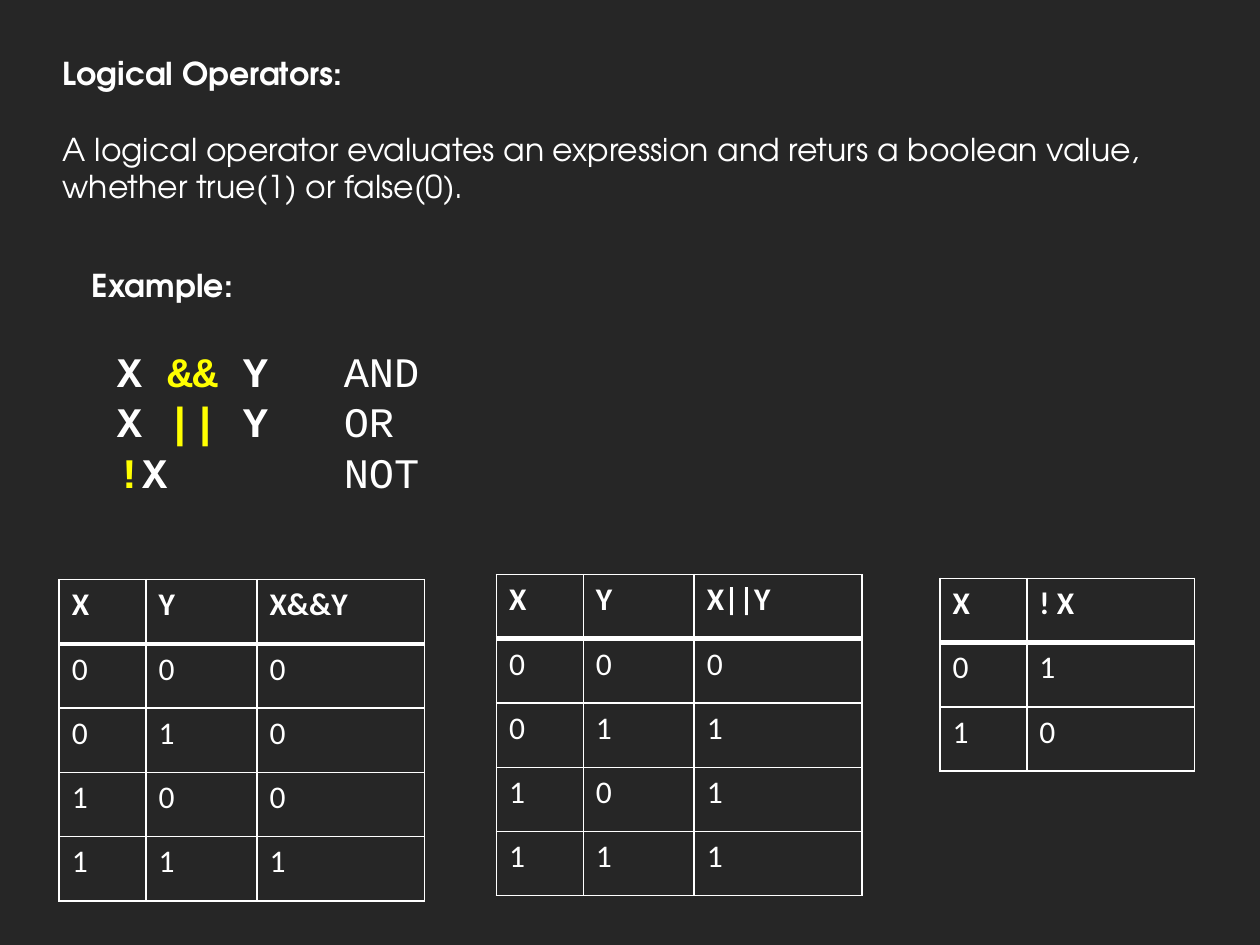
from dataclasses import dataclass

from lxml import etree
from pptx import Presentation
from pptx import util as u
from pptx.dml import color
from pptx.oxml import ns


@dataclass(frozen=True)
class Theme:
    background: str = "262626"
    foreground: str = "FFFFFF"
    accent: str = "FFFF00"
    prose_font: str = "TeX Gyre Adventor"
    code_font: str = "Courier New"
    table_font: str = "Calibri"
    body_size: int = 18
    code_size: int = 24
    thin_line: int = 1
    thick_line: int = 3


@dataclass(frozen=True)
class Operator:
    left: str
    symbol: str
    right: str
    meaning: str


@dataclass(frozen=True)
class TruthTable:
    left: float
    top: float
    widths: tuple[float, ...]
    rows: tuple[str, ...]


THEME = Theme()
ROW_HEIGHT = 0.51
CODE_TABS = (0.2, 2.0)
OPERATORS = (
    Operator("X ", "&&", " Y", "AND"),
    Operator("X ", "||", " Y", "OR"),
    Operator("", "!", "X", "NOT"),
)
TRUTH_TABLES = (
    TruthTable(0.47, 4.6, (0.69, 0.88, 1.33),
               ("X,Y,X&&Y", "0,0,0", "0,1,0", "1,0,0", "1,1,1")),
    TruthTable(3.94, 4.56, (0.69, 0.88, 1.33),
               ("X,Y,X||Y", "0,0,0", "0,1,1", "1,0,1", "1,1,1")),
    TruthTable(7.46, 4.59, (0.69, 1.33), ("X,! X", "0,1", "1,0")),
)


def format_run(run, font: str, size: int, bold: bool = False,
               rgb: str = THEME.foreground) -> None:
    run.font.name = font
    run.font.size = u.Pt(size)
    run.font.bold = bold
    run.font.color.rgb = color.RGBColor.from_string(rgb)


def add_text_box(slide, left: float, top: float, width: float, height: float):
    shape = slide.shapes.add_textbox(
        u.Inches(left), u.Inches(top), u.Inches(width), u.Inches(height))
    shape.text_frame.word_wrap = True
    return shape.text_frame


def set_heading(text_frame, heading: str, gap: float) -> None:
    text_frame.text = heading
    paragraph = text_frame.paragraphs[0]
    paragraph.space_after = u.Pt(gap)
    format_run(paragraph.runs[0], THEME.prose_font, THEME.body_size, bold=True)


def add_definition(slide) -> None:
    text_frame = add_text_box(slide, 0.4, 0.38, 9.26, 3.74)
    set_heading(text_frame, "Logical Operators:", 21.6)
    paragraph = text_frame.add_paragraph()
    paragraph.text = ("A logical operator evaluates an expression and returs "
                      "a boolean value, whether true(1) or false(0).")
    format_run(paragraph.runs[0], THEME.prose_font, THEME.body_size)


def set_tab_stops(paragraph, positions: tuple[float, ...]) -> None:
    properties = paragraph._p.get_or_add_pPr()
    tabs = etree.SubElement(properties, ns.qn("a:tabLst"))
    for position in positions:
        etree.SubElement(tabs, ns.qn("a:tab"),
                         pos=str(u.Inches(position)), algn="l")


def add_operator(text_frame, operator: Operator) -> None:
    paragraph = text_frame.add_paragraph()
    paragraph.line_spacing = u.Pt(28.8)
    set_tab_stops(paragraph, CODE_TABS)
    parts = (
        ("\t" + operator.left, True, THEME.foreground),
        (operator.symbol, True, THEME.accent),
        (operator.right, True, THEME.foreground),
        ("\t" + operator.meaning, False, THEME.foreground),
    )
    for content, bold, rgb in parts:
        run = paragraph.add_run()
        run.text = content
        format_run(run, THEME.code_font, THEME.code_size, bold, rgb)


def add_examples(slide) -> None:
    text_frame = add_text_box(slide, 0.63, 2.06, 7.69, 4.34)
    set_heading(text_frame, "Example:", 24)
    for operator in OPERATORS:
        add_operator(text_frame, operator)


def set_borders(cell, top: int, bottom: int) -> None:
    properties = cell._tc.get_or_add_tcPr()
    widths = {"L": THEME.thin_line, "R": THEME.thin_line, "T": top, "B": bottom}
    for side, width in widths.items():
        line = etree.SubElement(properties, ns.qn(f"a:ln{side}"),
                                w=str(u.Pt(width)))
        fill = etree.SubElement(line, ns.qn("a:solidFill"))
        etree.SubElement(fill, ns.qn("a:srgbClr"), val=THEME.foreground)


def add_truth_table(slide, truth_table: TruthTable) -> None:
    rows = [row.split(",") for row in truth_table.rows]
    table = slide.shapes.add_table(
        len(rows), len(truth_table.widths),
        u.Inches(truth_table.left), u.Inches(truth_table.top),
        u.Inches(sum(truth_table.widths)),
        u.Inches(ROW_HEIGHT * len(rows))).table
    table.horz_banding = False
    for column, width in zip(table.columns, truth_table.widths):
        column.width = u.Inches(width)
    for row_index, values in enumerate(rows):
        table.rows[row_index].height = u.Inches(ROW_HEIGHT)
        top = THEME.thick_line if row_index == 1 else THEME.thin_line
        bottom = THEME.thick_line if row_index == 0 else THEME.thin_line
        for column_index, value in enumerate(values):
            cell = table.cell(row_index, column_index)
            cell.text_frame.text = value
            format_run(cell.text_frame.paragraphs[0].runs[0], THEME.table_font,
                       THEME.body_size, bold=row_index == 0)
            set_borders(cell, top, bottom)
            cell.fill.background()


def main() -> None:
    presentation = Presentation()
    presentation.slide_width = u.Inches(10)
    presentation.slide_height = u.Inches(7.5)
    slide = presentation.slides.add_slide(presentation.slide_layouts[6])
    slide.background.fill.solid()
    slide.background.fill.fore_color.rgb = color.RGBColor.from_string(
        THEME.background)
    add_definition(slide)
    add_examples(slide)
    for truth_table in TRUTH_TABLES:
        add_truth_table(slide, truth_table)
    presentation.save("out.pptx")


if __name__ == "__main__":
    main()
